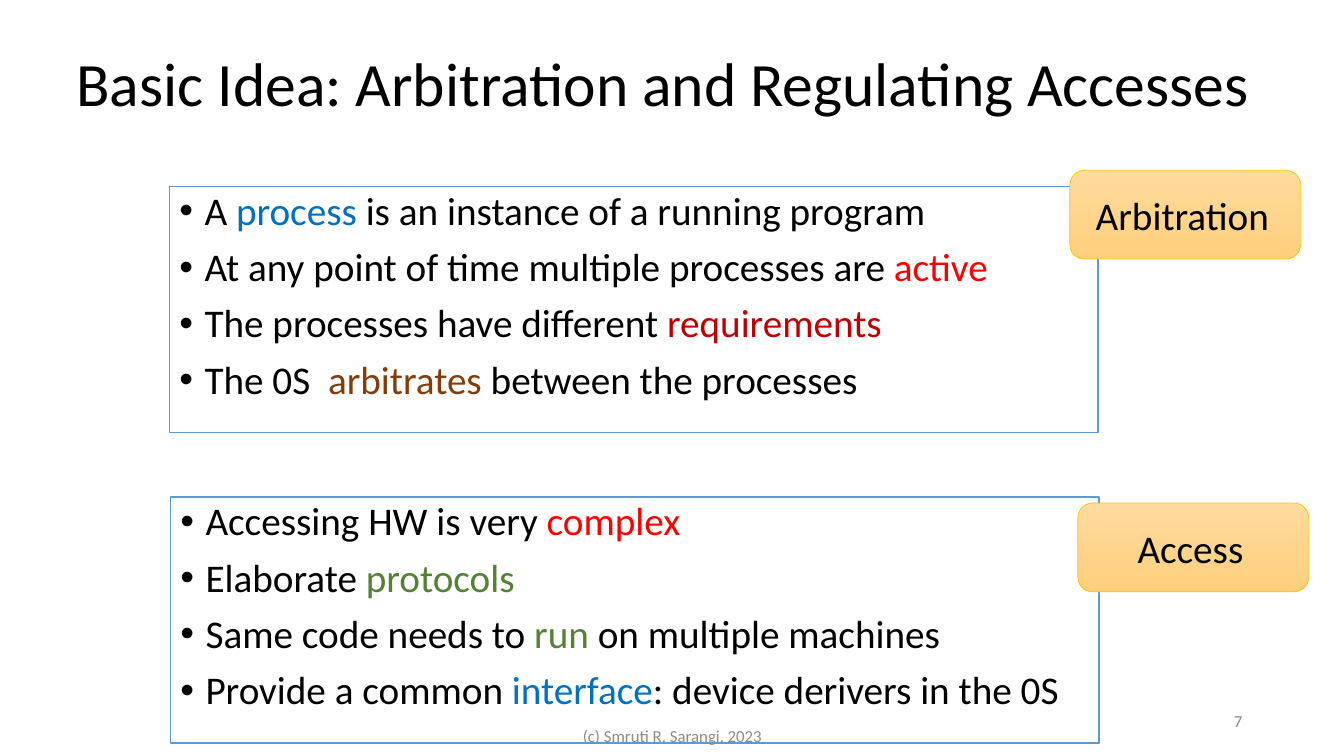
from dataclasses import dataclass
from lxml.etree import SubElement
from pptx import Presentation
from pptx.dml.color import RGBColor as Rgb
from pptx.enum.shapes import MSO_SHAPE as Shape
from pptx.enum.text import MSO_ANCHOR as Anchor, PP_ALIGN as Align
from pptx.oxml.ns import qn
from pptx.util import Inches, Pt


@dataclass(frozen=True)
class Theme:
    """Colours, font and type sizes of the slide."""
    font: str = "Calibri"
    head: int = 44
    body: int = 28
    gap: int = 18
    note: int = 12
    ink: str = "000000"
    gray: str = "8C8C8C"
    paper: str = "FFFFFF"
    edge: str = "5B9BD5"
    gold: str = "FFC000"
    light: str = "FFDB9E"
    deep: str = "FFD07C"
    blue: str = "0070C0"
    red: str = "FF0000"
    wine: str = "C00000"
    brown: str = "843C0B"
    green: str = "548235"


THEME = Theme()
WIDE, HIGH = 9.21, 2.44

PANELS = [
    ((1.68, 1.85), (10.61, 1.69), "Arbitration", [
        ("A ", "process", " is an instance of a running program", THEME.blue),
        ("At any point of time multiple processes are ", "active", "", THEME.red),
        ("The processes have different ", "requirements", "", THEME.wine),
        ("The 0S  ", "arbitrates", " between the processes", THEME.brown),
    ]),
    ((1.69, 4.93), (10.69, 4.99), "Access", [
        ("Accessing HW is very ", "complex", "", THEME.red),
        ("Elaborate ", "protocols", "", THEME.green),
        ("Same code needs to ", "run", " on multiple machines", THEME.green),
        ("Provide a common ", "interface", ": device derivers in the 0S", THEME.blue),
    ]),
]


def style(font, size, color):
    """Set the theme font, a size and a colour."""
    font.name = THEME.font
    font.size = Pt(size)
    font.color.rgb = Rgb.from_string(color)


def label(slide, box, text, size, color, align):
    """Place one line of plain text in a box."""
    frame = slide.shapes.add_textbox(*map(Inches, box)).text_frame
    frame.word_wrap = True
    frame.vertical_anchor = Anchor.MIDDLE
    para = frame.paragraphs[0]
    para.text = text
    para.alignment = align
    style(para.font, size, color)
    return para


def block(slide, kind, box, edge, width):
    """Add an outlined shape without a shadow."""
    shape = slide.shapes.add_shape(kind, *map(Inches, box))
    shape.shadow.inherit = False
    shape.line.color.rgb = Rgb.from_string(edge)
    shape.line.width = Pt(width)
    shape.text_frame.word_wrap = True
    return shape


def bullet(para):
    """Give a paragraph a hanging round bullet."""
    props = para._p.get_or_add_pPr()
    props.set("marL", str(Inches(0.25)))
    props.set("indent", str(Inches(-0.25)))
    SubElement(props, qn("a:buFont")).set("typeface", "Arial")
    SubElement(props, qn("a:buChar")).set("char", "•")


def panel(slide, box, lines):
    """Draw a framed list with one coloured word per line."""
    shape = block(slide, Shape.RECTANGLE, box, THEME.edge, 1)
    shape.fill.solid()
    shape.fill.fore_color.rgb = Rgb.from_string(THEME.paper)
    frame = shape.text_frame
    frame.vertical_anchor = Anchor.TOP
    for row, (start, word, end, color) in enumerate(lines):
        para = frame.add_paragraph() if row else frame.paragraphs[0]
        bullet(para)
        para.alignment = Align.LEFT
        para.line_spacing = 0.9
        para.space_before = Pt(10 if row else 0)
        style(para.font, THEME.body, THEME.ink)
        for text, tint in ((start, THEME.ink), (word, color), (end, THEME.ink)):
            if text:
                run = para.add_run()
                run.text = text
                style(run.font, THEME.body, tint)


def badge(slide, box, text):
    """Draw a rounded gold tag with centred text."""
    shape = block(slide, Shape.ROUNDED_RECTANGLE, box, THEME.gold, 0.5)
    shape.fill.gradient()
    shape.fill.gradient_angle = 270
    for stop, color in zip(shape.fill.gradient_stops, (THEME.light, THEME.deep)):
        stop.color.rgb = Rgb.from_string(color)
    frame = shape.text_frame
    frame.vertical_anchor = Anchor.MIDDLE
    para = frame.paragraphs[0]
    para.alignment = Align.CENTER
    for part, size in ((text, THEME.body), (" ", THEME.gap)):
        run = para.add_run()
        run.text = part
        style(run.font, size, THEME.ink)


def footer(slide, left, top):
    """Place the copyright line and the page number."""
    label(slide, (left + 5, top, 3, 0.4), "7", THEME.note, THEME.gray, Align.RIGHT)
    label(slide, (left, top + 0.15, 4.5, 0.4), "(c) Smruti R. Sarangi, 2023",
          THEME.note, THEME.gray, Align.CENTER)


def main():
    """Build and save the slide."""
    deck = Presentation()
    deck.slide_width, deck.slide_height = Inches(13.33), Inches(7.5)
    slide = deck.slides.add_slide(deck.slide_layouts[6])
    title = label(slide, (0.66, 0.13, 12.32, 1.45),
                  "Basic Idea: Arbitration and Regulating Accesses",
                  THEME.head, THEME.ink, Align.LEFT)
    title.line_spacing = 0.9
    for spot, tag, name, lines in PANELS:
        panel(slide, (*spot, WIDE, HIGH), lines)
        badge(slide, (*tag, 2.29, 0.88), name)
    footer(slide, 4.42, 6.95)
    deck.save("out.pptx")


if __name__ == "__main__":
    main()
